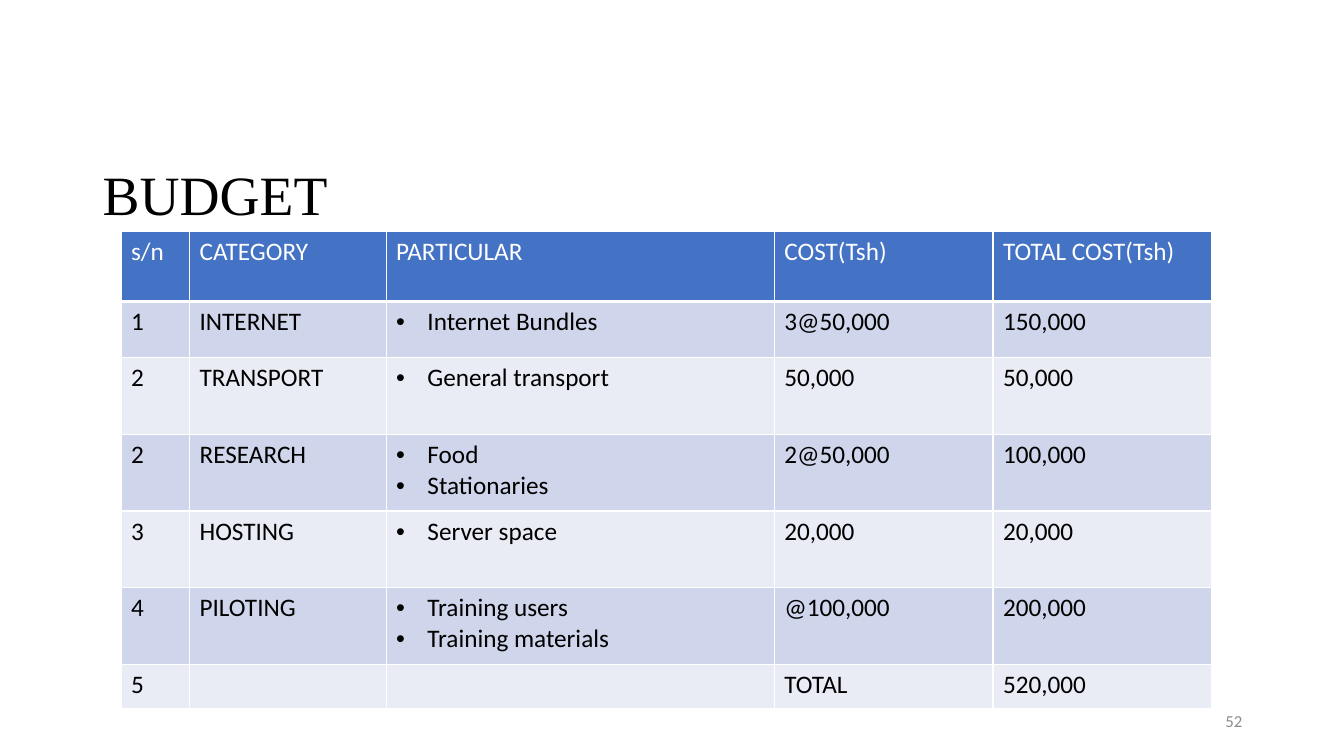
from pptx import Presentation
from pptx.util import Inches, Pt
from pptx.dml.color import RGBColor
from pptx.enum.text import PP_ALIGN, MSO_ANCHOR
from lxml.etree import SubElement
from pptx.oxml.ns import qn

THEME = {
    "title_font": "Times New Roman", "body_font": "Calibri",
    "title_size": 39.6, "body_size": 18, "number_size": 12,
    "ink": "000000", "white": "FFFFFF", "grey": "8C8C8C",
    "header": "4472C4", "bands": ("CFD5EA", "E9EBF5"),
}

COLS = [0.68, 1.95, 3.85, 2.17, 2.17]
ROWS = [0.69, 0.56] + [0.76] * 4 + [0.44]
BUDGET = [
    ("s/n", "CATEGORY", "PARTICULAR", "COST(Tsh)", "TOTAL COST(Tsh)"),
    ("1", "INTERNET", ["Internet Bundles"], "3@50,000", "150,000"),
    ("2", "TRANSPORT", ["General transport"], "50,000", "50,000"),
    ("2", "RESEARCH", ["Food", "Stationaries"], "2@50,000", "100,000"),
    ("3", "HOSTING", ["Server space"], "20,000", "20,000"),
    ("4", "PILOTING", ["Training users", "Training materials"], "@100,000", "200,000"),
    ("5", "", "", "TOTAL", "520,000"),
]


def add_run(p, text, size, color, font=THEME["body_font"]):
    r = p.add_run()
    r.text = text
    r.font.name = font
    r.font.size = Pt(size)
    r.font.bold = False
    r.font.color.rgb = RGBColor.from_string(color)


def add_text(s, left, top, width, height):
    tf = s.shapes.add_textbox(Inches(left), Inches(top), Inches(width), Inches(height)).text_frame
    tf.word_wrap = True
    tf.vertical_anchor = MSO_ANCHOR.MIDDLE
    return tf.paragraphs[0]


prs = Presentation()
prs.slide_width, prs.slide_height = Inches(13.33), Inches(7.5)
s = prs.slides.add_slide(prs.slide_layouts[6])

# Title
p = add_text(s, 0.92, 1.61, 11.5, 0.69)
p.line_spacing = 0.9
add_run(p, "BUDGET", THEME["title_size"], THEME["ink"], THEME["title_font"])

# Budget table
table = s.shapes.add_table(len(ROWS), len(COLS), Inches(1.2), Inches(2.3),
                           Inches(sum(COLS)), Inches(sum(ROWS))).table
for col, width in zip(table.columns, COLS):
    col.width = Inches(width)
for row, height in zip(table.rows, ROWS):
    row.height = Inches(height)

for i, entries in enumerate(BUDGET):
    fill = THEME["bands"][(i - 1) % 2] if i else THEME["header"]
    color = THEME["ink"] if i else THEME["white"]
    for j, entry in enumerate(entries):
        cell = table.cell(i, j)

        # Borders come before the fill in the cell properties
        tcPr = cell._tc.get_or_add_tcPr()
        for side in "LRTB":
            weight = 3 if i == 0 and side == "B" else 1
            ln = SubElement(tcPr, qn(f"a:ln{side}"), w=str(Pt(weight)))
            SubElement(SubElement(ln, qn("a:solidFill")), qn("a:srgbClr"), val=THEME["white"])
        cell.fill.solid()
        cell.fill.fore_color.rgb = RGBColor.from_string(fill)

        # Lists become bullets, plain strings a single paragraph
        bulleted = isinstance(entry, list)
        tf = cell.text_frame
        for k, text in enumerate(entry if bulleted else [entry]):
            p = tf.paragraphs[0] if k == 0 else tf.add_paragraph()
            if bulleted:
                pPr = p._p.get_or_add_pPr()
                pPr.set("marL", str(Inches(0.31)))
                pPr.set("indent", str(-Inches(0.31)))
                SubElement(pPr, qn("a:buFont"), typeface="Arial")
                SubElement(pPr, qn("a:buChar"), char="•")
            if text:
                add_run(p, text, THEME["body_size"], color)

# Slide number
p = add_text(s, 9.42, 6.95, 3, 0.4)
p.alignment = PP_ALIGN.RIGHT
add_run(p, "52", THEME["number_size"], THEME["grey"])

prs.save("out.pptx")
